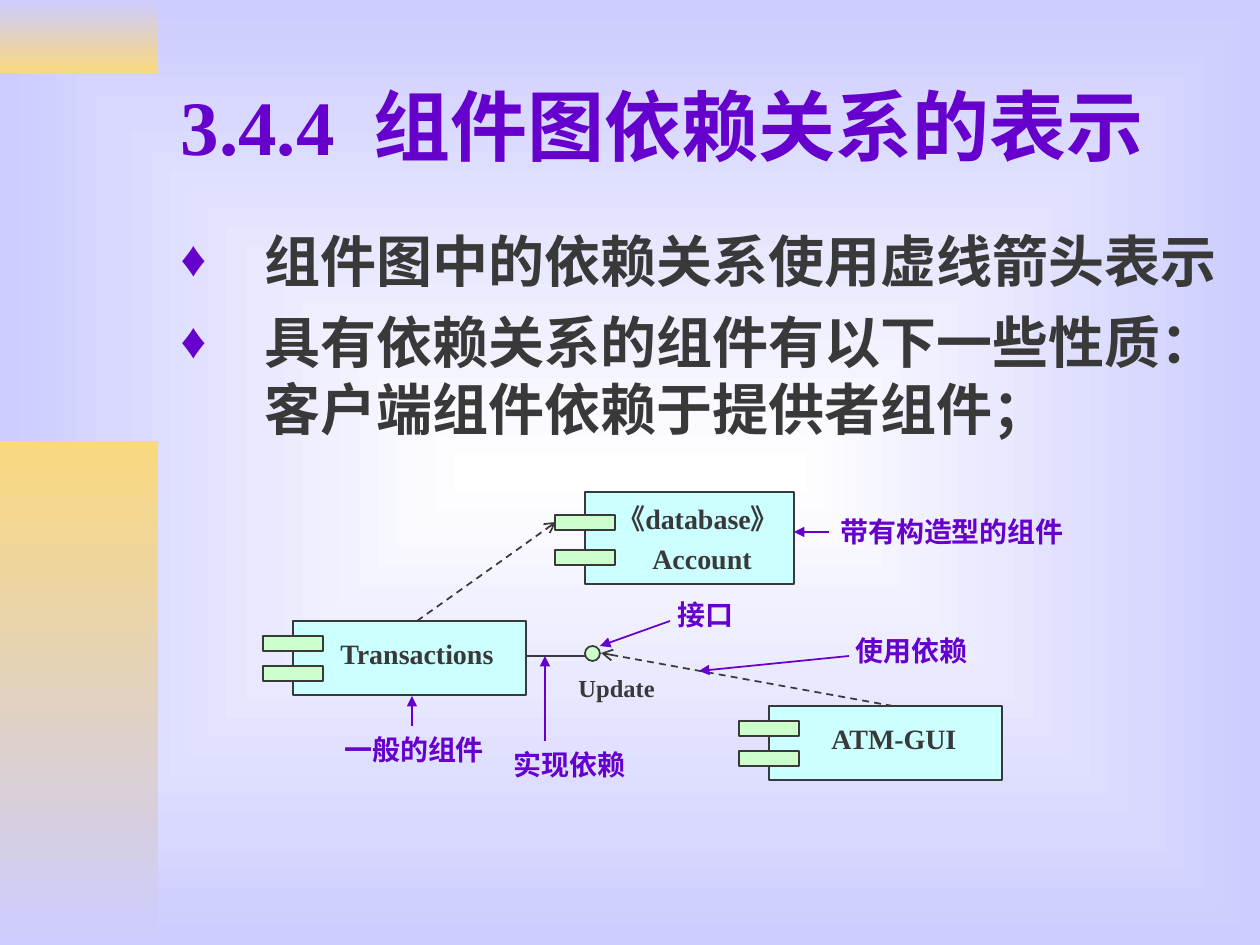
from lxml import etree
from pptx import Presentation
from pptx import util as u
from pptx.dml.color import RGBColor
from pptx.enum import dml, shapes, text
from pptx.oxml.ns import qn

PX = 914400 / 126  # EMU in one px
FONT = "Times New Roman"
INK, PURPLE = "393939", "6600CC"
LAVENDER, GOLD, WHITE = "CCCCFF", "F9D87E", "FFFFFF"
AQUA, MINT = "CCFFFF", "CCFFCC"


def px(*lengths):
    return [u.Emu(round(length * PX)) for length in lengths]


def color(hex_string):
    return RGBColor.from_string(hex_string)


def add_xml(parent, tag, **attributes):
    return etree.SubElement(parent, qn(tag), attributes)


def format_font(font, size, hex_string):
    values = {"name": FONT, "size": u.Pt(size), "bold": True}
    for name, value in values.items():
        setattr(font, name, value)
    font.color.rgb = color(hex_string)


def place(shape, box):
    for name, value in zip(("left", "top", "width", "height"), px(*box)):
        setattr(shape, name, value)


def set_gradient(fill, first, last):
    fill.gradient()
    for stop, position, hex_string in zip(fill.gradient_stops, (0, 1), (first, last)):
        stop.position = position
        stop.color.rgb = color(hex_string)


def set_background(slide):
    set_gradient(slide.background.fill, WHITE, LAVENDER)
    gradient = slide.element.find(".//" + qn("a:gradFill"))
    gradient.remove(gradient.find(qn("a:lin")))
    glow = add_xml(gradient, "a:path", path="rect")
    add_xml(glow, "a:fillToRect", l="50000", t="50000", r="50000", b="50000")


def add_band(slide, box, top, bottom):
    shape = slide.shapes.add_shape(shapes.MSO_SHAPE.RECTANGLE, *px(*box))
    shape.shadow.inherit = False
    set_gradient(shape.fill, top, bottom)
    shape.fill.gradient_angle = 270
    shape.line.fill.background()


def add_outlined(slide, box, fill, kind=shapes.MSO_SHAPE.RECTANGLE):
    shape = slide.shapes.add_shape(kind, *px(*box))
    shape.shadow.inherit = False
    shape.fill.solid()
    shape.fill.fore_color.rgb = color(fill)
    shape.line.color.rgb = color(INK)
    shape.line.width = u.Pt(1)


def add_label(slide, box, words, hex_string=PURPLE, size=16):
    frame = slide.shapes.add_textbox(*px(*box)).text_frame
    frame.word_wrap = True
    paragraph = frame.paragraphs[0]
    paragraph.text = words
    format_font(paragraph.runs[0].font, size, hex_string)


def add_line(slide, start, end, hex_string=PURPLE, head="triangle", dashed=False):
    connector = slide.shapes.add_connector(
        shapes.MSO_CONNECTOR.STRAIGHT, *px(*start, *end))
    connector.line.color.rgb = color(hex_string)
    connector.line.width = u.Pt(1)
    if dashed:
        connector.line.dash_style = dml.MSO_LINE.DASH
    if head:
        add_xml(connector.line._get_or_add_ln(), "a:tailEnd", type=head)
    add_xml(connector._element.spPr, "a:effectLst")


def add_component(slide, box, lug_offsets, labels):
    left, top = box[:2]
    add_outlined(slide, box, AQUA)
    for offset in lug_offsets:
        add_outlined(slide, (left - 30, top + offset, 60, 15), MINT)
    for label_box, words in labels:
        add_label(slide, label_box, words, INK)


def fill_title(title, number, words):
    place(title, (168, 42, 1071, 166))
    title.text_frame.vertical_anchor = text.MSO_ANCHOR.MIDDLE
    paragraph = title.text_frame.paragraphs[0]
    paragraph.alignment = text.PP_ALIGN.LEFT
    for part in (number, " ", words):
        run = paragraph.add_run()
        run.text = part
        format_font(run.font, 44, PURPLE)
        if part == " ":  # a wider gap after the section number
            run._r.get_or_add_rPr().set("spc", "1100")


def fill_body(body, items):
    place(body, (168, 220, 1071, 242))
    frame = body.text_frame
    for index, words in enumerate(items):
        paragraph = frame.paragraphs[0] if index == 0 else frame.add_paragraph()
        properties = paragraph._p.get_or_add_pPr()
        indent = px(84)[0]
        properties.set("marL", str(indent))
        properties.set("indent", str(-indent))
        bullet_color = add_xml(properties, "a:buClr")
        add_xml(bullet_color, "a:srgbClr", val=PURPLE)
        add_xml(properties, "a:buSzPct", val="90000")
        add_xml(properties, "a:buFont", typeface=FONT)
        add_xml(properties, "a:buChar", char="♦")
        paragraph.space_before = u.Pt(8 if index else 0)
        run = paragraph.add_run()
        run.text = words
        format_font(run.font, 32, INK)


def main():
    presentation = Presentation()
    presentation.slide_width, presentation.slide_height = px(1260, 945)
    slide = presentation.slides.add_slide(presentation.slide_layouts[1])

    # Backdrop
    set_background(slide)
    add_band(slide, (0, 0, 158, 73), LAVENDER, GOLD)
    add_band(slide, (0, 441, 158, 504), GOLD, LAVENDER)

    # Title and list
    fill_title(slide.shapes.title, "3.4.4", "组件图依赖关系的表示")
    fill_body(slide.placeholders[1], [
        "组件图中的依赖关系使用虚线箭头表示",
        "具有依赖关系的组件有以下一些性质：客户端组件依赖于提供者组件；",
    ])

    # Components
    add_component(slide, (293, 621, 233, 74), (15, 45),
                  [((328, 630, 189, 47), "Transactions")])
    add_component(slide, (769, 706, 233, 74), (15, 45),
                  [((819, 715, 164, 47), "ATM-GUI")])
    add_component(slide, (585, 492, 209, 92), (23, 58),
                  [((640, 535, 129, 47), "Account"),
                   ((605, 495, 189, 81), "《database》")])

    # Interface and dependencies
    add_line(slide, (526, 656), (585, 656), INK, head=None)
    add_outlined(slide, (585, 646, 15, 15), MINT, shapes.MSO_SHAPE.OVAL)
    for start, end in (((417, 621), (556, 522)), ((893, 706), (601, 653))):
        add_line(slide, start, end, INK, head="arrow", dashed=True)
    add_label(slide, (566, 667, 105, 43), "Update", INK, size=14)

    # Callouts: label box, words, arrow start and end
    callouts = [
        ((665, 591, 84, 47), "接口", (670, 621), (600, 646)),
        ((828, 508, 253, 47), "带有构造型的组件", (829, 532), (794, 532)),
        ((332, 726, 174, 47), "一般的组件", (412, 726), (412, 696)),
        ((501, 741, 149, 47), "实现依赖", (545, 741), (545, 656)),
        ((843, 627, 149, 47), "使用依赖", (849, 656), (699, 671)),
    ]
    for box, words, start, end in callouts:
        add_label(slide, box, words)
        add_line(slide, start, end)

    presentation.save("out.pptx")


if __name__ == "__main__":
    main()
